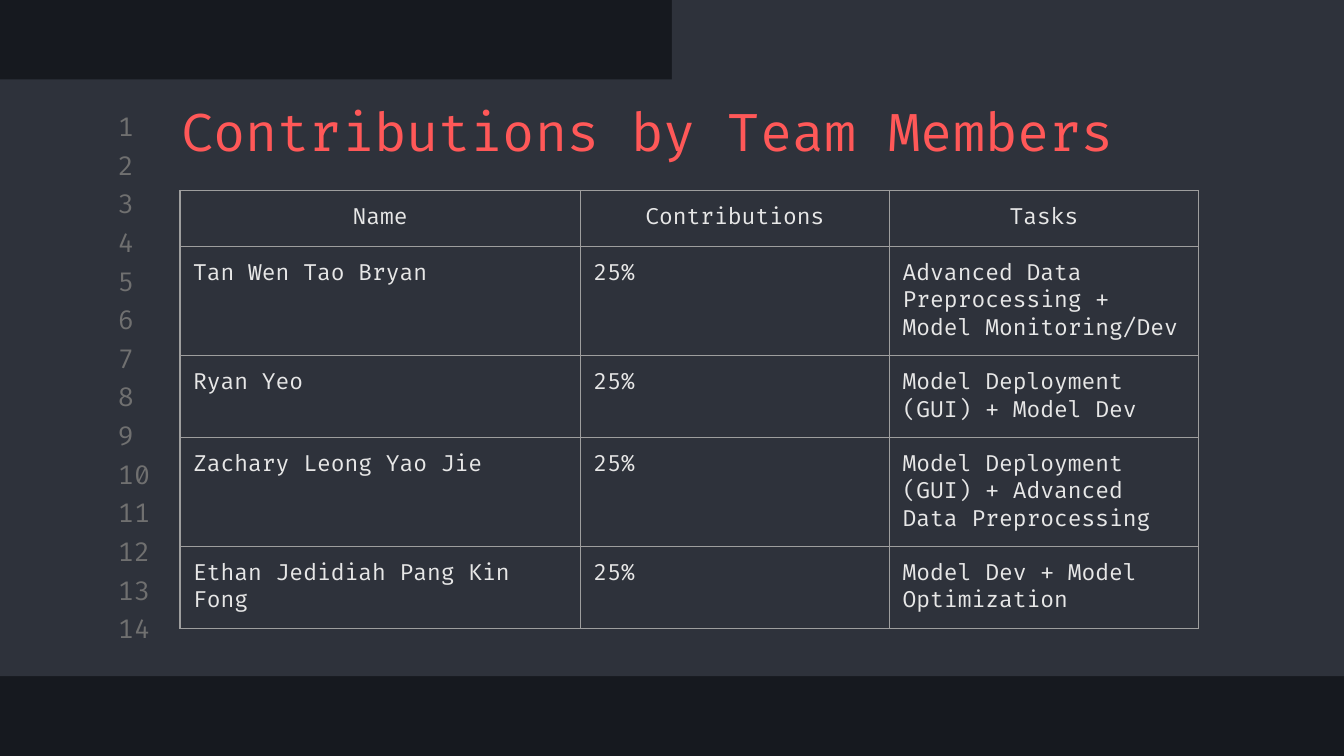
from lxml import etree
from pptx import Presentation
from pptx.dml.color import RGBColor
from pptx.enum.shapes import MSO_SHAPE as Shape
from pptx.enum.text import MSO_ANCHOR as Anchor, PP_ALIGN as Align
from pptx.oxml import parse_xml
from pptx.oxml.ns import nsdecls
from pptx.util import Cm, Pt

INSET = Cm(0.25)


def color(hex_value):
    return RGBColor.from_string(hex_value)


def style_text(holder, size, hex_value, anchor=Anchor.TOP, align=Align.LEFT):
    """Format the text of a shape or a table cell."""
    holder.text_frame.word_wrap = True
    holder.vertical_anchor = holder.text_frame.vertical_anchor = anchor
    for paragraph in holder.text_frame.paragraphs:
        paragraph.alignment = align
        for run in paragraph.runs:
            run.font.name = "Fira Code"
            run.font.size = Pt(size)
            run.font.color.rgb = color(hex_value)


prs = Presentation()
prs.slide_width, prs.slide_height = Cm(25.4), Cm(14.29)
slide = prs.slides.add_slide(prs.slide_layouts[5])
slide.background.fill.solid()
slide.background.fill.fore_color.rgb = color("16191F")

# Editor window: main panel and the open tab above it
for left, top, width, height in [(0, 1.5, 25.4, 11.28), (12.7, 0, 12.7, 1.65)]:
    panel = slide.shapes.add_shape(
        Shape.RECTANGLE, Cm(left), Cm(top), Cm(width), Cm(height))
    panel.shadow.inherit = False
    panel.fill.solid()
    panel.fill.fore_color.rgb = color("2E323B")
    panel.line.fill.background()

# Line numbers
for index in range(14):
    line_number = slide.shapes.add_textbox(
        Cm(1.98), Cm(2.08 + 0.73 * index), Cm(1.19), Cm(0.61))
    line_number.text_frame.text = str(index + 1)
    style_text(line_number, 14, "707070", Anchor.MIDDLE)

# Title, brought in front of the panels
title = slide.shapes.title
slide.shapes.element.append(title.element)
title.left, title.top, title.width, title.height = Cm(3.18), Cm(1.63), Cm(20.24), Cm(1.5)
title.text_frame.text = "Contributions by Team Members"
title.text_frame.margin_left = title.text_frame.margin_right = INSET
title.text_frame.margin_top = title.text_frame.margin_bottom = INSET
style_text(title, 28, "FF5858")

# Contributions table
members = [
    ("Name", "Contributions", "Tasks"),
    ("Tan Wen Tao Bryan", "25%", "Advanced Data Preprocessing + Model Monitoring/Dev"),
    ("Ryan Yeo", "25%", "Model Deployment (GUI) + Model Dev"),
    ("Zachary Leong Yao Jie", "25%", "Model Deployment (GUI) + Advanced Data Preprocessing"),
    ("Ethan Jedidiah Pang Kin Fong", "25%", "Model Dev + Model Optimization"),
]
contributions = slide.shapes.add_table(
    len(members), 3, Cm(3.4), Cm(3.6), Cm(19.25), Cm(8.18)).table
contributions.first_row = contributions.horz_banding = False
for column, width in zip(contributions.columns, (7.57, 5.84, 5.84)):
    column.width = Cm(width)
for row in contributions.rows:
    row.height = Cm(1.06)

for row_index, member in enumerate(members):
    for column_index, text in enumerate(member):
        cell = contributions.cell(row_index, column_index)
        cell.text_frame.text = text
        cell.margin_left = cell.margin_right = INSET
        cell.margin_top = cell.margin_bottom = INSET
        style_text(cell, 12, "E7E7E7",
                   align=Align.LEFT if row_index else Align.CENTER)
        cell_properties = cell._tc.get_or_add_tcPr()
        for side in ("lnL", "lnR", "lnT", "lnB"):
            border = parse_xml(f'<a:{side} {nsdecls("a")} w="{Pt(0.75)}"/>')
            fill = etree.SubElement(border, border.tag.replace(side, "solidFill"))
            etree.SubElement(fill, border.tag.replace(side, "srgbClr"), val="9E9E9E")
            cell_properties.append(border)
        cell.fill.background()

prs.save("out.pptx")
